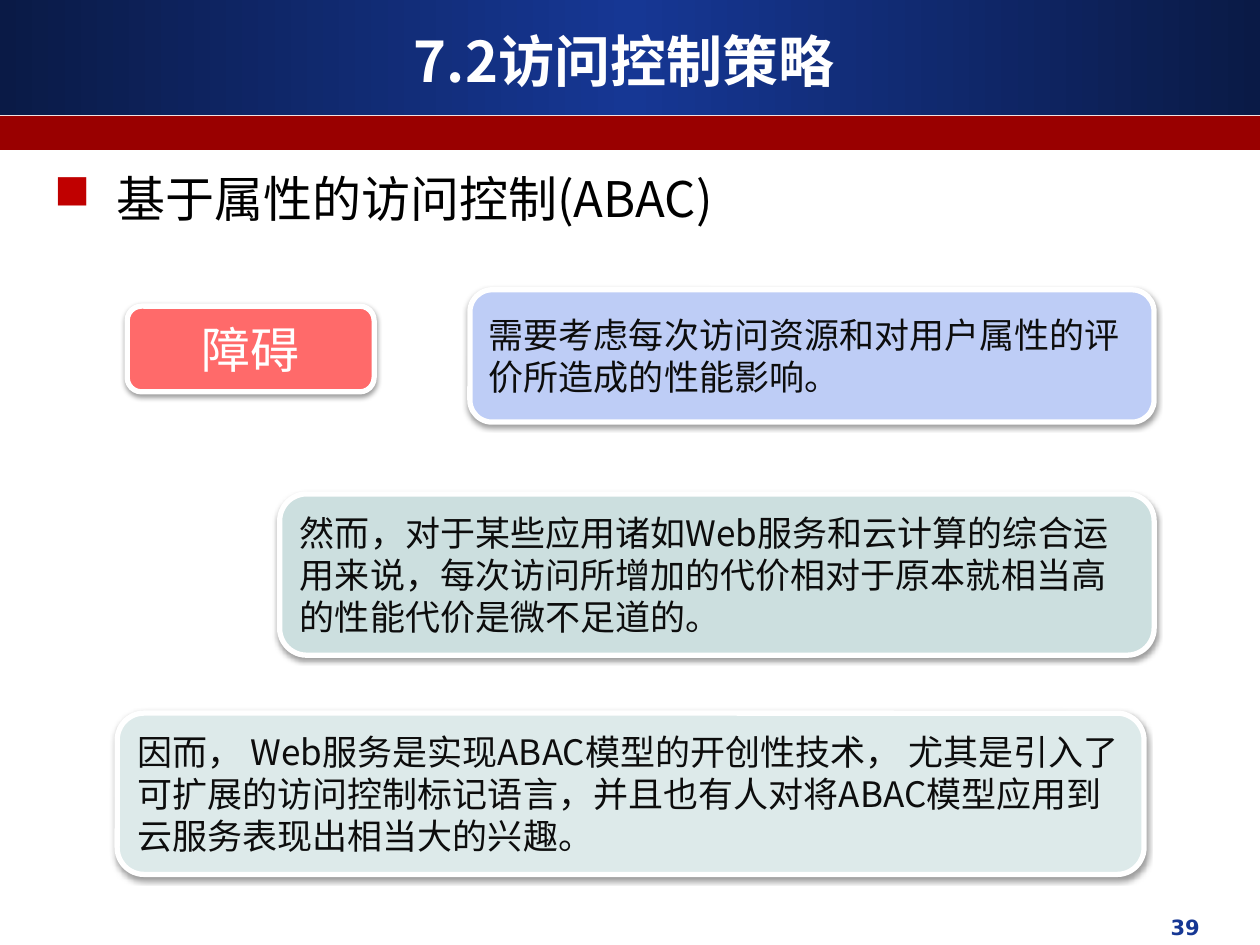
import copy

import pptx
import pptx.dml.color
import pptx.enum.shapes
import pptx.enum.text
import pptx.oxml
import pptx.oxml.ns
import pptx.util
from pptx.util import Inches

CJK = "Noto Sans CJK SC"
NAVY, BLUE, RED = "0A1A46", "163794", "990000"
WHITE, BLACK, INK = "FFFFFF", "000000", "0D0D0D"
ALIGN = pptx.enum.text.PP_ALIGN
SHAPE = pptx.enum.shapes.MSO_SHAPE
MIDDLE = pptx.enum.text.MSO_ANCHOR.MIDDLE


def rgb(value):
    return pptx.dml.color.RGBColor.from_string(value)


def xml(markup):
    namespace = pptx.oxml.ns.nsdecls("a")
    return pptx.oxml.parse_xml(markup.replace(">", f" {namespace}>", 1))


def write(shape, text, size, color, align=ALIGN.LEFT, bold=False, font=CJK, anchor=None):
    frame = shape.text_frame
    frame.word_wrap = True
    if anchor is not None:
        frame.vertical_anchor = anchor
    line = frame.paragraphs[0]
    line.text = text
    line.alignment = align
    line.font.size = pptx.util.Pt(size)
    line.font.bold = bold
    line.font.color.rgb = rgb(color)
    line.font.name = font
    defaults = line._p.pPr.find(pptx.oxml.ns.qn("a:defRPr"))
    defaults.append(xml(f'<a:ea typeface="{font}"></a:ea>'))


def add_band(slide, box):
    band = slide.shapes.add_shape(SHAPE.RECTANGLE, *map(Inches, box))
    band.shadow.inherit = False
    band.line.fill.background()
    return band


def add_header(slide, box, title):
    left, top, width, height = box
    banner = add_band(slide, (left, top, width, 0.91))
    banner.fill.gradient()
    banner.fill.gradient_angle = 0
    edge, center = banner.fill.gradient_stops
    edge.color.rgb, edge.position = rgb(NAVY), 0
    center.color.rgb, center.position = rgb(BLUE), 0.5
    stops = banner._element.spPr.find(".//" + pptx.oxml.ns.qn("a:gsLst"))
    far_edge = copy.deepcopy(stops[0])
    far_edge.set("pos", "100000")
    stops.append(far_edge)

    stripe = add_band(slide, (left, top + 0.92, width, height - 0.92))
    stripe.fill.solid()
    stripe.fill.fore_color.rgb = rgb(RED)

    heading = slide.shapes.add_textbox(
        Inches(left + 0.33), Inches(top + 0.17), Inches(width - 0.75), Inches(0.62))
    write(heading, title, 32, WHITE, ALIGN.CENTER, bold=True, anchor=MIDDLE)


def add_topic(slide, box, text):
    topic = slide.shapes.add_textbox(*map(Inches, box))
    properties = topic.text_frame.paragraphs[0]._p.get_or_add_pPr()
    properties.set("marL", str(Inches(0.5)))
    properties.set("indent", str(-Inches(0.5)))
    properties.append(xml('<a:buClr><a:srgbClr val="C00000"/></a:buClr>'))
    properties.append(xml('<a:buChar char="■"></a:buChar>'))
    write(topic, text, 28, BLACK)


def add_card(slide, box, fill, text, size=20, color=INK, align=ALIGN.LEFT):
    card = slide.shapes.add_shape(SHAPE.ROUNDED_RECTANGLE, *map(Inches, box))
    card.fill.solid()
    card.fill.fore_color.rgb = rgb(fill)
    card.line.color.rgb = rgb(WHITE)
    card.line.width = pptx.util.Pt(3)
    card._element.spPr.append(xml(
        f'<a:effectLst><a:outerShdw blurRad="{pptx.util.Pt(3.1)}" '
        f'dist="{pptx.util.Pt(1.6)}" dir="5400000" rotWithShape="0">'
        f'<a:srgbClr val="{BLACK}"><a:alpha val="38000"/></a:srgbClr>'
        '</a:outerShdw></a:effectLst>'))
    write(card, text, size, color, align, anchor=MIDDLE)


def add_page_number(slide, box, number):
    page = slide.shapes.add_textbox(*map(Inches, box))
    write(page, str(number), 12, BLUE, ALIGN.RIGHT, bold=True, font="DejaVu Sans")


def main():
    deck = pptx.Presentation()
    deck.slide_width, deck.slide_height = Inches(10), Inches(7.5)
    slide = deck.slides.add_slide(deck.slide_layouts[6])

    add_header(slide, (0, 0, 10, 1.19), "7.2访问控制策略")
    add_topic(slide, (0.33, 1.29, 9.02, 0.57), "基于属性的访问控制(ABAC)")
    add_page_number(slide, (6.45, 7.21, 3.17, 0.35), 39)

    add_card(slide, (1.01, 2.43, 1.96, 0.68), "FF6A6A", "障碍", 28, WHITE, ALIGN.CENTER)
    arguments = [
        ((3.73, 2.3, 5.43, 1.05), "BECDF6",
         "需要考虑每次访问资源和对用户属性的评价所造成的性能影响。"),
        ((2.22, 3.92, 6.94, 1.28), "CCDFDF",
         "然而，对于某些应用诸如Web服务和云计算的综合运用来说，"
         "每次访问所增加的代价相对于原本就相当高的性能代价是微不足道的。"),
        ((0.93, 5.66, 8.15, 1.28), "DDEAEA",
         "因而， Web服务是实现ABAC模型的开创性技术， 尤其是引入了可扩展的访问控制标记语言，"
         "并且也有人对将ABAC模型应用到云服务表现出相当大的兴趣。"),
    ]
    for box, fill, text in arguments:
        add_card(slide, box, fill, text)

    deck.save("out.pptx")


if __name__ == "__main__":
    main()
